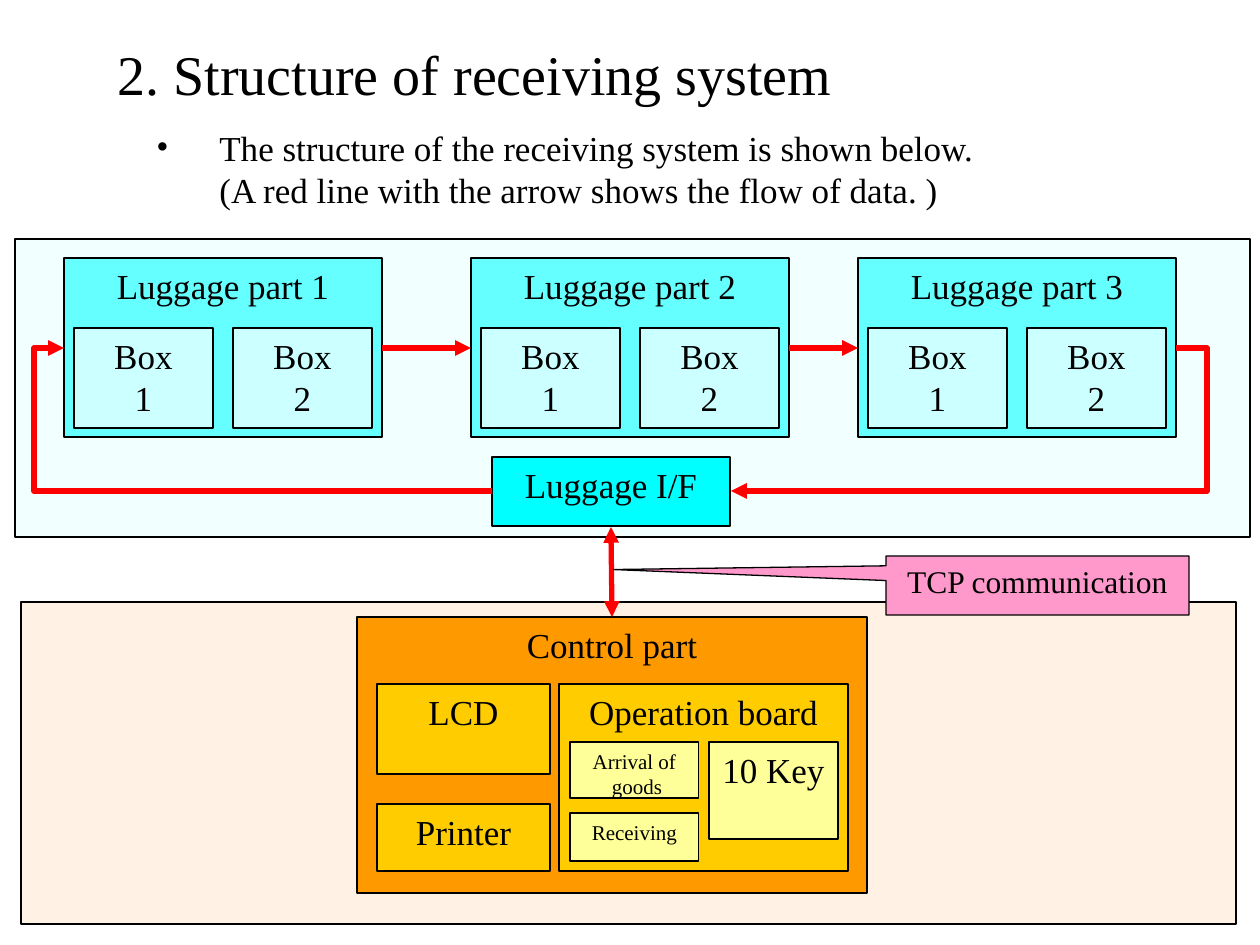
from dataclasses import dataclass

from lxml.etree import SubElement
from pptx import Presentation
from pptx.dml.color import RGBColor as RGB
from pptx.enum.shapes import MSO_CONNECTOR as Link, MSO_SHAPE as Form
from pptx.enum.text import MSO_ANCHOR as Anchor, PP_ALIGN as Align
from pptx.oxml.ns import qn
from pptx.util import Pt

SCALE = 914400 / 126
FONT = "Times New Roman"

BLACK = RGB(0x00, 0x00, 0x00)
RED = RGB(0xFF, 0x00, 0x00)
PEACH = RGB(0xFF, 0xCC, 0x99)
ICE = RGB(0xCC, 0xFF, 0xFF)
AQUA = RGB(0x66, 0xFF, 0xFF)
CYAN = RGB(0x00, 0xFF, 0xFF)
ORANGE = RGB(0xFF, 0x99, 0x00)
GOLD = RGB(0xFF, 0xCC, 0x00)
LEMON = RGB(0xFF, 0xFF, 0x99)
PINK = RGB(0xFF, 0x99, 0xCC)


@dataclass
class Box:
    x: int
    y: int
    w: int
    h: int
    fill: RGB
    text: str = ""
    size: int = 20
    alpha: int = 100
    form: Form = Form.RECTANGLE
    wrap: bool = False


@dataclass
class Arrow:
    """A red line whose arrowhead is at its start; bend places an elbow."""
    x1: int
    y1: int
    x2: int
    y2: int
    bend: float | None = None
    both: bool = False


def px(*nums: int) -> list[int]:
    return [round(n * SCALE) for n in nums]


def style(frame, size: int, align: Align) -> None:
    for para in frame.paragraphs:
        para.alignment = align
        for run in para.runs:
            run.font.size = Pt(size)
            run.font.name = FONT
            run.font.color.rgb = BLACK


def draw_box(slide, box: Box):
    shape = slide.shapes.add_shape(box.form, *px(box.x, box.y, box.w, box.h))
    shape.shadow.inherit = False
    shape.fill.solid()
    shape.fill.fore_color.rgb = box.fill
    if box.alpha < 100:
        tint = shape.fill._xPr.find(".//" + qn("a:srgbClr"))
        SubElement(tint, qn("a:alpha"), val=str(box.alpha * 1000))
    shape.line.color.rgb = BLACK
    shape.line.width = Pt(0.75)
    if box.text:
        frame = shape.text_frame
        frame.text = box.text
        frame.word_wrap = box.wrap
        frame.vertical_anchor = Anchor.TOP
        style(frame, box.size, Align.CENTER)
    return shape


def draw_arrow(slide, arrow: Arrow) -> None:
    kind = Link.STRAIGHT if arrow.bend is None else Link.ELBOW
    ends = px(arrow.x1, arrow.y1, arrow.x2, arrow.y2)
    line = slide.shapes.add_connector(kind, *ends)
    line.line.color.rgb = RED
    line.line.width = Pt(3)
    props = line._element.spPr
    edge = props.find(qn("a:ln"))
    for tag in ("a:headEnd", "a:tailEnd") if arrow.both else ("a:headEnd",):
        SubElement(edge, qn(tag), type="triangle")
    SubElement(props, qn("a:effectLst"))
    if arrow.bend is not None:
        guides = props.find(".//" + qn("a:avLst"))
        value = round(arrow.bend * 100000)
        SubElement(guides, qn("a:gd"), name="adj1", fmla=f"val {value}")


def draw_title(slide) -> None:
    title = slide.shapes.title
    title.left, title.top, title.width, title.height = px(105, 10, 1071, 126)
    frame = title.text_frame
    frame.text = "2. Structure of receiving system"
    frame.vertical_anchor = Anchor.MIDDLE
    style(frame, 32, Align.LEFT)


def draw_intro(slide) -> None:
    frame = slide.shapes.add_textbox(*px(144, 120, 883, 97)).text_frame
    frame.word_wrap = True
    frame.text = ("The structure of the receiving system is shown below.\v"
                  "(A red line with the arrow shows the flow of data. )")
    style(frame, 20, Align.LEFT)
    props = frame.paragraphs[0]._p.get_or_add_pPr()
    indent = px(63)[0]
    props.set("marL", str(indent))
    props.set("indent", str(-indent))
    SubElement(props, qn("a:buFont"), typeface=FONT)
    SubElement(props, qn("a:buChar"), char="•")


def draw_part(slide, num: int, x: int) -> None:
    draw_box(slide, Box(x, 258, 318, 179, AQUA, f"Luggage part {num}"))
    for i in range(2):
        draw_box(slide, Box(x + 10 + 159 * i, 328, 139, 100, ICE, f"Box\n{i + 1}"))


PANELS = [
    Box(21, 602, 1215, 322, PEACH, alpha=26),
    Box(15, 239, 1235, 298, ICE, alpha=26),
]
PARTS = [64, 471, 858]
UNITS = [
    Box(492, 457, 238, 69, CYAN, "Luggage I/F"),
    Box(357, 617, 510, 276, ORANGE, "Control part"),
    Box(377, 684, 173, 90, GOLD, "LCD"),
    Box(377, 804, 173, 67, GOLD, "Printer"),
    Box(559, 684, 289, 187, GOLD, "Operation board"),
    Box(570, 742, 129, 56, LEMON, "Arrival of\n goods", 12),
    Box(570, 813, 129, 48, LEMON, "Receiving", 12),
    Box(709, 742, 129, 97, LEMON, "10 Key"),
]
ARROWS = [
    Arrow(611, 527, 612, 617, both=True),
    Arrow(471, 348, 382, 348),
    Arrow(858, 348, 789, 348),
    Arrow(731, 491, 1176, 348, bend=1.07),
    Arrow(64, 348, 492, 491, bend=-0.07),
]
NOTE = Box(886, 556, 303, 59, PINK, "TCP communication", 18,
           form=Form.RECTANGULAR_CALLOUT, wrap=True)


def main() -> None:
    deck = Presentation()
    deck.slide_width, deck.slide_height = px(1260, 945)
    slide = deck.slides.add_slide(deck.slide_layouts[5])
    for panel in PANELS:
        draw_box(slide, panel)
    draw_title(slide)
    draw_intro(slide)
    for num, x in enumerate(PARTS, 1):
        draw_part(slide, num, x)
    for unit in UNITS:
        draw_box(slide, unit)
    for arrow in ARROWS:
        draw_arrow(slide, arrow)
    note = draw_box(slide, NOTE)
    note.adjustments[0] = -1.4
    note.adjustments[1] = -0.27
    deck.save("out.pptx")


if __name__ == "__main__":
    main()
